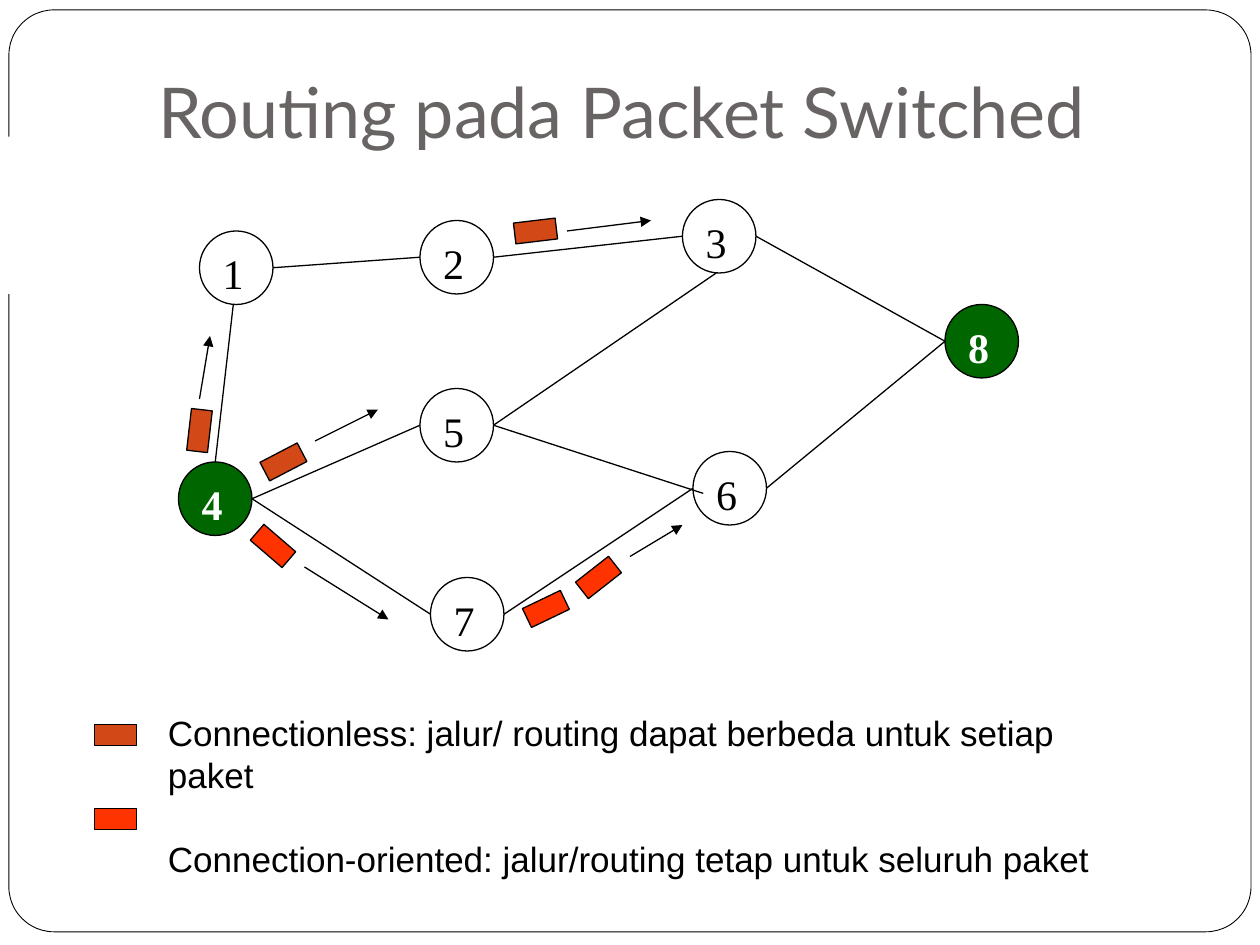
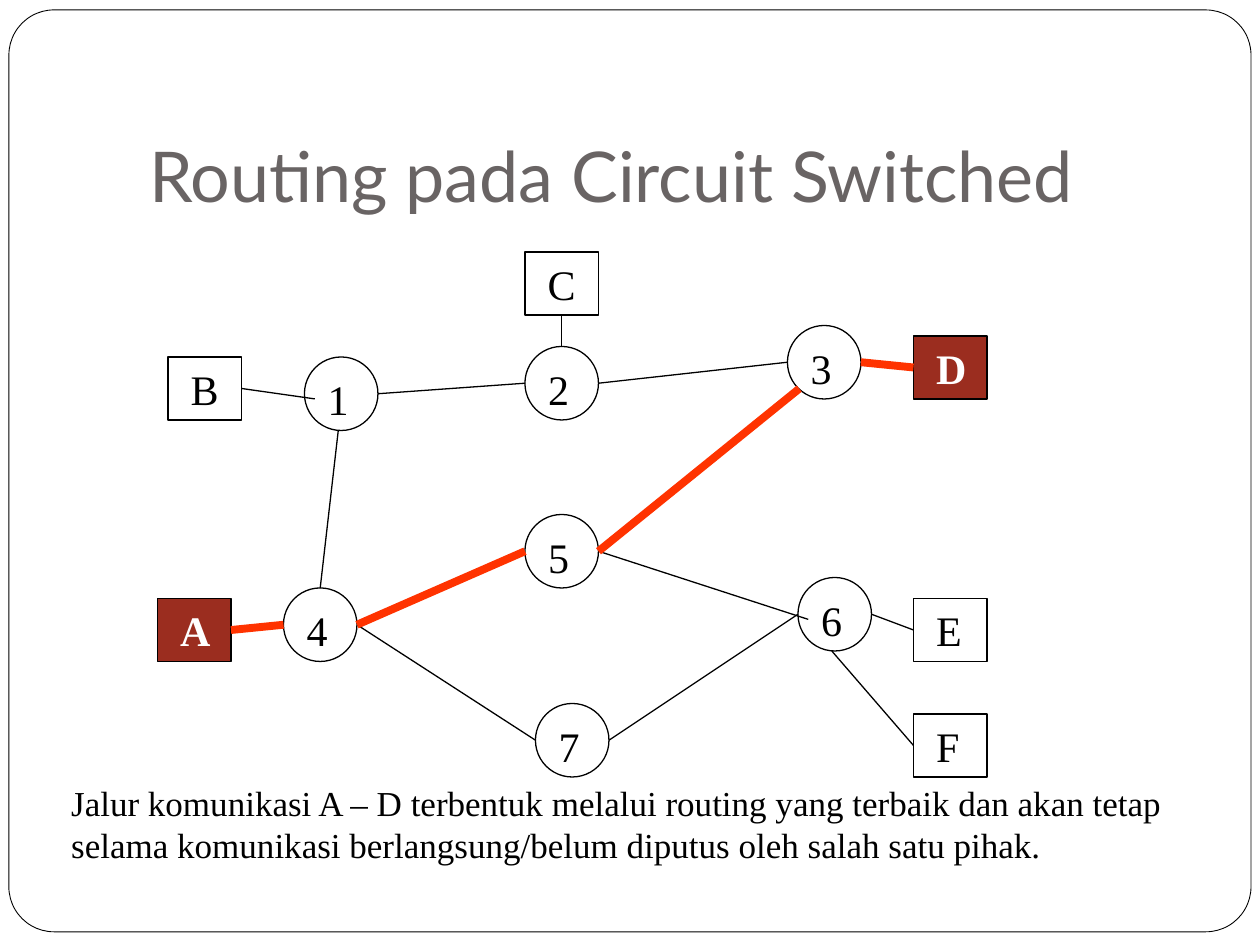
from lxml.etree import SubElement
from pptx import Presentation
from pptx.dml.color import RGBColor
from pptx.enum.shapes import MSO_CONNECTOR, MSO_SHAPE
from pptx.enum.text import MSO_ANCHOR, MSO_AUTO_SIZE, PP_ALIGN
from pptx.oxml.ns import qn
from pptx.util import Inches, Pt

COLUMNS, ROWS = 120, 90
BLACK, WHITE, GREY = "000000", "FFFFFF", "696464"
GREEN, MAROON = "006600", "9B2D1F"
ORANGE, RED = "D34817", "FF3300"
SERIF, SANS, TITLE_FONT = "Times New Roman", "Arial", "Lato"

NODE_SIZE, STATION_SIZE, PACKET_SIZE = (7, 7), (7, 6), (4, 2)

# Where a link meets a node or station, as shares of its size
PORTS = {
    "left": (0, 0.5), "right": (1, 0.5), "top": (0.5, 0), "base": (0.5, 1),
    "bottom": (0.46, 1), "inner": (0.14, 0.57), "corner": (0.16, 0.86),
}

# Column and row of each network node
NODES = {
    "1": (19, 22), "4": (17, 44), "2": (40, 21), "3": (65, 19),
    "5": (40, 37), "7": (41, 55), "6": (66, 43),
}
NETWORK_LINKS = [
    ("1", "right", "2", "left"), ("4", "top", "1", "bottom"),
    ("4", "right", "7", "left"), ("7", "right", "6", "left"),
    ("5", "right", "6", "inner"), ("2", "right", "3", "left"),
    ("4", "right", "5", "left"),
]


def color(hex_string):
    return RGBColor.from_string(hex_string)


class Deck:
    def __init__(self):
        self.presentation = Presentation()
        self.presentation.slide_width = Inches(10)
        self.presentation.slide_height = Inches(7.5)
        self.column = self.presentation.slide_width / COLUMNS
        self.row = self.presentation.slide_height / ROWS
        self.layout = self.presentation.slide_layouts[5]
        self.slide = None
        self.ends = {}

    def x(self, columns):
        return round(columns * self.column)

    def y(self, rows):
        return round(rows * self.row)

    def box(self, place, size):
        return self.x(place[0]), self.y(place[1]), self.x(size[0]), self.y(size[1])

    def start_slide(self, title, place, size, align):
        self.slide = self.presentation.slides.add_slide(self.layout)
        self.ends = {}
        heading = self.slide.shapes.title
        heading.left, heading.top, heading.width, heading.height = self.box(place, size)
        frame = heading.text_frame
        frame.auto_size = MSO_AUTO_SIZE.NONE
        frame.vertical_anchor = MSO_ANCHOR.BOTTOM
        frame.margin_bottom = Inches(0.1)
        self.add_words(frame.paragraphs[0], title, TITLE_FONT, 40, GREY)
        frame.paragraphs[0].alignment = align

    def add_words(self, paragraph, words, font, size, ink=BLACK, bold=False):
        paragraph.alignment = PP_ALIGN.LEFT
        run = paragraph.add_run()
        run.text = words
        run.font.name, run.font.size, run.font.bold = font, Pt(size), bold
        run.font.color.rgb = color(ink)

    def shape(self, kind, place, size, fill=None, line=0.75):
        shape = self.slide.shapes.add_shape(kind, *self.box(place, size))
        shape.shadow.inherit = False
        if fill:
            shape.fill.solid()
            shape.fill.fore_color.rgb = color(fill)
        else:
            shape.fill.background()
        if line:
            shape.line.color.rgb = color(BLACK)
            shape.line.width = Pt(line)
        else:
            shape.line.fill.background()
        return shape

    def frame_on_layout(self):
        """Draw the rounded page frame once, behind everything on the layout."""
        frame = self.shape(MSO_SHAPE.ROUNDED_RECTANGLE, (0.85, 0.95),
                           (118.3, 87.8), WHITE, 0.5)
        frame.adjustments[0] = 0.049
        self.layout.shapes._spTree.insert(2, frame._element)

    def title_band(self, place, size):
        """Draw a white band behind the title, breaking the page frame."""
        band = self.shape(MSO_SHAPE.RECTANGLE, place, size, WHITE, 0)
        self.slide.shapes._spTree.insert(2, band._element)

    def labelled(self, kind, label, place, size, inset, fill):
        shape = self.shape(kind, place, size, fill)
        frame = shape.text_frame
        frame.word_wrap = False
        frame.vertical_anchor = MSO_ANCHOR.TOP
        frame.margin_left = Inches(inset)
        frame.margin_right = frame.margin_bottom = 0
        self.add_words(frame.paragraphs[0], label, SERIF, 24,
                       WHITE if fill else BLACK, bool(fill))
        self.ends[label] = place, size

    def node(self, label, place, fill=None):
        self.labelled(MSO_SHAPE.OVAL, label, place, NODE_SIZE, 0.1, fill)

    def station(self, label, place, fill=None):
        self.labelled(MSO_SHAPE.RECTANGLE, label, place, STATION_SIZE, 0.18, fill)

    def packet(self, place, fill, turn=0):
        self.shape(MSO_SHAPE.RECTANGLE, place, PACKET_SIZE, fill).rotation = turn

    def line(self, start, end, ink=BLACK, width=0.75, arrow=False):
        line = self.slide.shapes.add_connector(
            MSO_CONNECTOR.STRAIGHT, self.x(start[0]), self.y(start[1]),
            self.x(end[0]), self.y(end[1]))
        line.line.color.rgb = color(ink)
        line.line.width = Pt(width)
        properties = line._element.spPr
        if arrow:
            SubElement(properties.find(qn("a:ln")), qn("a:tailEnd"), type="triangle")
        SubElement(properties, qn("a:effectLst"))

    def port(self, label, side):
        place, size = self.ends[label]
        return [p + s * share for p, s, share in zip(place, size, PORTS[side])]

    def link(self, source, source_side, target, target_side, on_route=False):
        ink, width = (RED, 4.5) if on_route else (BLACK, 0.75)
        self.line(self.port(source, source_side), self.port(target, target_side),
                  ink, width)

    def text(self, place, size, paragraphs, font, gap=0):
        frame = self.slide.shapes.add_textbox(*self.box(place, size)).text_frame
        frame.word_wrap = True
        for index, words in enumerate(paragraphs):
            paragraph = frame.add_paragraph() if index else frame.paragraphs[0]
            if index:
                paragraph.space_before = Pt(gap)
            self.add_words(paragraph, words, font, 20)


def packet_switched(deck):
    deck.start_slide("Routing pada Packet Switched", (1.2, 3.2), (116, 12.5),
                     PP_ALIGN.CENTER)
    deck.frame_on_layout()
    deck.title_band((0, 13), (115, 15))
    for label, place in NODES.items():
        deck.node(label, place, GREEN if label == "4" else None)
    deck.node("8", (90, 29), GREEN)
    for link in NETWORK_LINKS + [("5", "right", "3", "bottom"),
                                 ("3", "right", "8", "left"),
                                 ("6", "right", "8", "left")]:
        deck.link(*link)

    connectionless = [((25, 43), -27.5), ((17, 40), -83.4), ((49, 21), -6.8)]
    connection_oriented = [((24, 51), 40.7), ((50, 57), -25.6), ((55, 54), -38.1)]
    for fill, packets, key_row in [(ORANGE, connectionless, 69),
                                   (RED, connection_oriented, 77)]:
        for place, turn in packets:
            deck.packet(place, fill, turn)
        deck.packet((9, key_row), fill)
    for start, end in [((30, 42), (36, 39)), ((19, 38), (20, 32)),
                       ((54, 22), (62, 21)), ((29, 54), (37, 59)),
                       ((60, 53), (65, 50))]:
        deck.line(start, end, arrow=True)
    deck.text((14.8, 67.2), (93, 17), [
        "Connectionless: jalur/ routing dapat berbeda untuk setiap paket",
        "Connection-oriented: jalur/routing tetap untuk seluruh paket",
    ], SANS, gap=24)


def circuit_switched(deck):
    deck.start_slide("Routing pada Circuit Switched", (13, 3), (114, 18.8),
                     PP_ALIGN.LEFT)
    for label, (column, row) in NODES.items():
        deck.node(label, (column + 10, row + 12))
    for label, place in {"B": (16, 34), "A": (15, 57), "C": (50, 24),
                         "D": (87, 32), "E": (87, 57), "F": (87, 68)}.items():
        deck.station(label, place, MAROON if label in "AD" else None)
    route = {("A", "4"), ("4", "5"), ("5", "3"), ("3", "D")}
    station_links = [
        ("B", "right", "1", "inner"), ("A", "right", "4", "left"),
        ("C", "base", "2", "top"), ("3", "right", "D", "left"),
        ("6", "right", "E", "left"), ("6", "bottom", "F", "left"),
    ]
    for link in station_links + NETWORK_LINKS + [("5", "right", "3", "corner")]:
        deck.link(*link, on_route=(link[0], link[2]) in route)
    deck.text((5.6, 73.8), (111.4, 9.2), [
        "Jalur komunikasi A – D terbentuk melalui routing yang terbaik dan akan "
        "tetap selama komunikasi berlangsung/belum diputus oleh salah satu pihak.",
    ], SERIF)


def main():
    deck = Deck()
    packet_switched(deck)
    circuit_switched(deck)
    deck.presentation.save("out.pptx")


if __name__ == "__main__":
    main()
